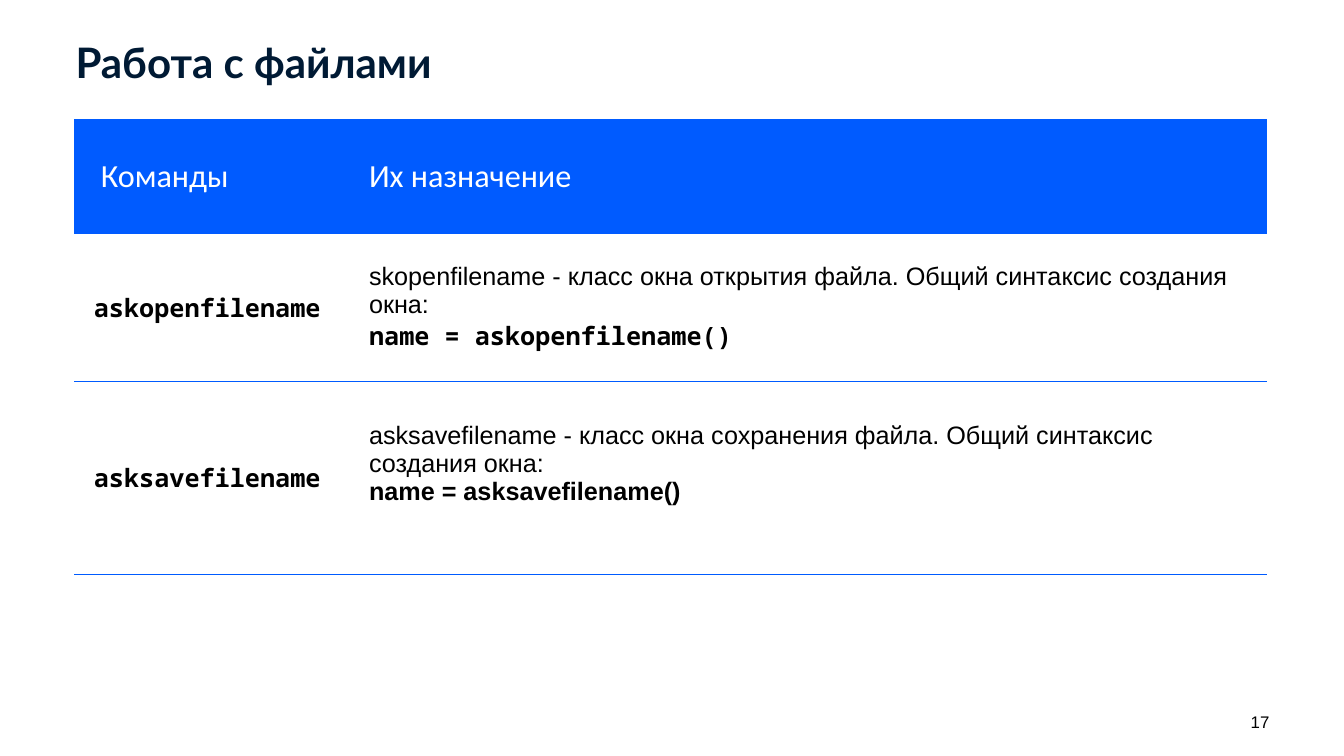
import dataclasses

import lxml.etree
import pptx
import pptx.dml.color
import pptx.enum.text
import pptx.oxml.ns
import pptx.util

ANCHOR = pptx.enum.text.MSO_ANCHOR
ALIGN = pptx.enum.text.PP_ALIGN
PLAIN_TABLE_STYLE = "{2D5ABB26-0587-4C30-8999-92F81FD0307C}"


@dataclasses.dataclass(frozen=True)
class Theme:
    blue: str = "005BFF"
    navy: str = "001A34"
    black: str = "000000"
    white: str = "FFFFFF"
    title_font: str = "Lato"
    header_font: str = "Calibri"
    body_font: str = "Arial"
    code_font: str = "Noto Sans Mono"
    title_size: int = 60
    header_size: int = 46
    body_size: int = 36
    number_size: int = 24
    rule_width: float = 1.5


THEME = Theme()
HEADER = dict(font=THEME.header_font, size=THEME.header_size, color=THEME.white)
BODY = dict(font=THEME.body_font, size=THEME.body_size)
BODY_BOLD = dict(BODY, bold=True)
CODE = dict(BODY_BOLD, font=THEME.code_font)
CELL_INSETS = (0.39, 0.08, 0.31, 0.08)


def rgb(color):
    return pptx.dml.color.RGBColor.from_string(color)


def write(para, text, font, size, color=THEME.black, bold=False, align=ALIGN.LEFT, spacing=1.0):
    para.alignment = align
    para.line_spacing = spacing
    span = para.add_run()
    span.text = text
    span.font.name = font
    span.font.size = pptx.util.Pt(size)
    span.font.bold = bold
    span.font.color.rgb = rgb(color)


def set_insets(target, insets):
    """Set left, top, right and bottom margins of a cell or text frame, in inches."""
    for side, inset in zip(("left", "top", "right", "bottom"), insets):
        setattr(target, f"margin_{side}", pptx.util.Inches(inset))


def add_text(page, area, text, insets=(0, 0, 0, 0), anchor=ANCHOR.TOP, **style):
    box = page.shapes.add_textbox(*map(pptx.util.Inches, area))
    frame = box.text_frame
    frame.word_wrap = True
    frame.vertical_anchor = anchor
    set_insets(frame, insets)
    write(frame.paragraphs[0], text, **style)


def add_rule(cell, edge):
    """Draw a blue line on one cell edge: lnT or lnB."""
    line = lxml.etree.Element(
        pptx.oxml.ns.qn(f"a:{edge}"), w=str(pptx.util.Pt(THEME.rule_width)))
    fill = lxml.etree.SubElement(line, pptx.oxml.ns.qn("a:solidFill"))
    lxml.etree.SubElement(fill, pptx.oxml.ns.qn("a:srgbClr"), val=THEME.blue)
    properties = cell._tc.get_or_add_tcPr()
    borders = properties.findall(pptx.oxml.ns.qn("a:lnT"))
    properties.insert(len(borders), line)


def fill_cell(cell, lines, insets=CELL_INSETS):
    cell.vertical_anchor = ANCHOR.MIDDLE
    set_insets(cell, insets)
    frame = cell.text_frame
    for index, (text, style) in enumerate(lines):
        para = frame.add_paragraph() if index else frame.paragraphs[0]
        write(para, text, **style)


def add_command_table(page, area, column_widths, row_heights, rows):
    left, top, width, height = map(pptx.util.Inches, area)
    table = page.shapes.add_table(
        len(rows), len(column_widths), left, top, width, height).table
    table.first_row = table.horz_banding = False
    table._tbl.tblPr.find(pptx.oxml.ns.qn("a:tableStyleId")).text = PLAIN_TABLE_STYLE
    for column, share in zip(table.columns, column_widths):
        column.width = pptx.util.Inches(share)
    for row, share in zip(table.rows, row_heights):
        row.height = pptx.util.Inches(share)

    for row_index, row in enumerate(rows):
        for column_index, content in enumerate(row):
            cell = table.cell(row_index, column_index)
            fill_cell(cell, **content)
            if row_index == 0:
                cell.fill.solid()
                cell.fill.fore_color.rgb = rgb(THEME.blue)
                continue
            cell.fill.background()
            if row_index > 1:
                add_rule(cell, "lnT")
            add_rule(cell, "lnB")


def build_page(deck):
    page = deck.slides.add_slide(deck.slide_layouts[6])
    add_text(page, (1.5, 0.44, 13.33, 1.12), "Работа с файлами",
             insets=(0, 0.39, 0, 0), font=THEME.title_font, size=THEME.title_size,
             color=THEME.navy, bold=True, spacing=0.9)
    add_text(page, (23.19, 14.04, 1.99, 0.48), "17", anchor=ANCHOR.BOTTOM,
             font=THEME.body_font, size=THEME.number_size, align=ALIGN.RIGHT)
    rows = [
        [dict(lines=[("Команды", HEADER)], insets=(0.53, 0.08, 0.31, 0.08)),
         dict(lines=[("Их назначение", HEADER)])],
        [dict(lines=[("askopenfilename", CODE)]),
         dict(lines=[
             ("skopenfilename - класс окна открытия файла. "
              "Общий синтаксис создания окна:", BODY),
             ("name = askopenfilename()", CODE)])],
        [dict(lines=[("asksavefilename", CODE)]),
         dict(lines=[
             ("asksavefilename - класс окна сохранения файла. "
              "Общий синтаксис создания окна:", BODY),
             ("name = asksavefilename()", BODY_BOLD)],
             insets=(0.39, 0.08, 0.31, 0.64))],
    ]
    add_command_table(page, (1.47, 2.36, 23.66, 9.03),
                      (5.46, 18.2), (2.29, 2.92, 3.82), rows)


def main():
    deck = pptx.Presentation()
    deck.slide_width = pptx.util.Inches(26.66)
    deck.slide_height = pptx.util.Inches(15)
    build_page(deck)
    deck.save("out.pptx")


if __name__ == "__main__":
    main()
